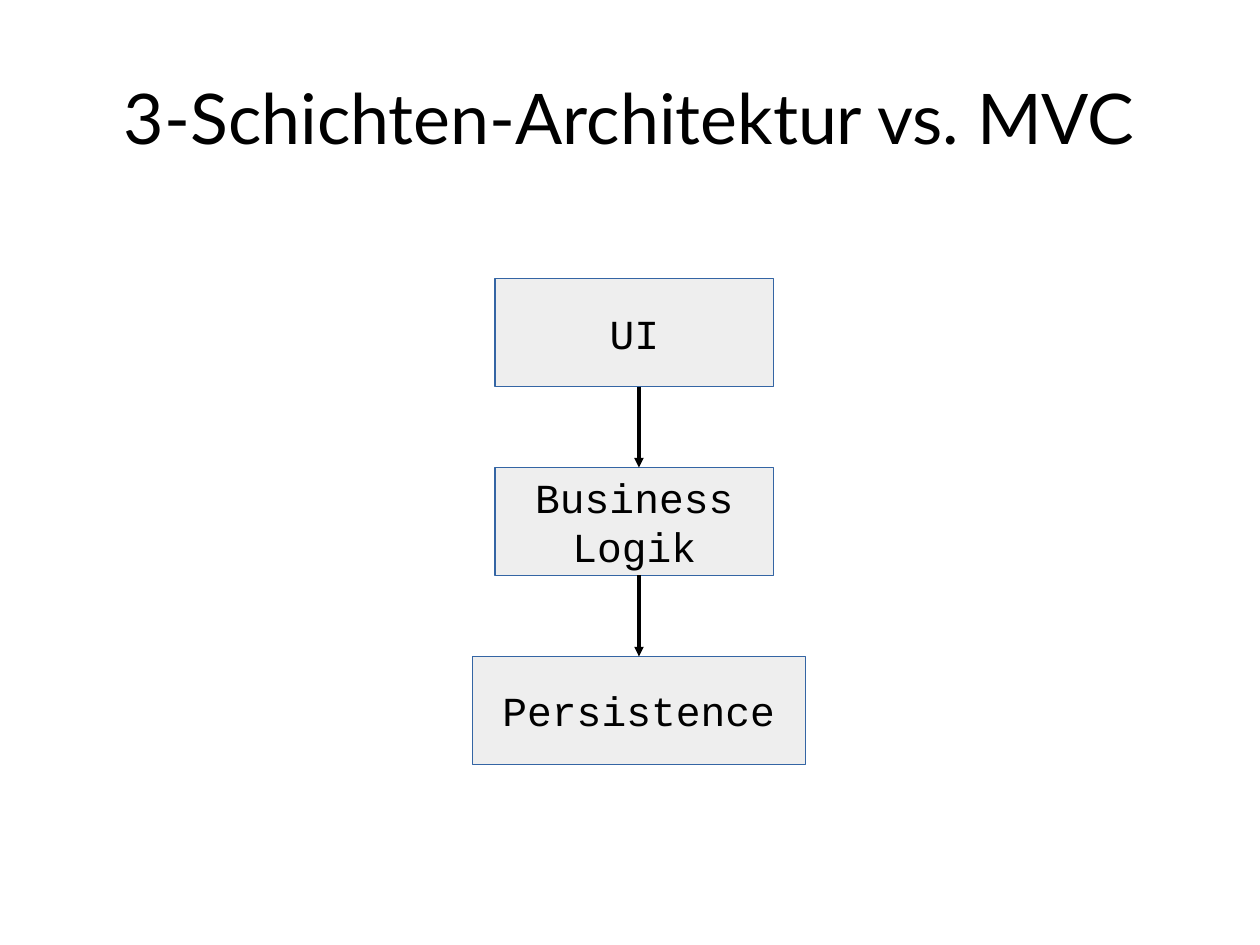
from lxml import etree
from pptx import Presentation
from pptx.dml.color import RGBColor
from pptx.enum.shapes import MSO_CONNECTOR, MSO_SHAPE
from pptx.enum.text import MSO_ANCHOR, PP_ALIGN
from pptx.oxml.ns import qn
from pptx.util import Pt

RECTANGLE = MSO_SHAPE.RECTANGLE
STRAIGHT = MSO_CONNECTOR.STRAIGHT
MIDDLE = MSO_ANCHOR.MIDDLE
CENTER = PP_ALIGN.CENTER

# Content
TITLE = "3-Schichten-Architektur vs. MVC"
LAYERS = [  # text, left, width
    ("UI", 311.8, 175.7),
    ("Business\nLogik", 311.8, 175.7),
    ("Persistence", 297.5, 210),
]
COLORS = {"text": "000000", "box": "EEEEEE", "border": "3465A4", "arrow": "000000"}

# Layout
SLIDE_WIDTH, SLIDE_HEIGHT = 793.7, 595.28
FIRST_TOP, LAYER_HEIGHT, LAYER_STEP = 175.5, 68, 119
ARROW_X = 402.5
TOP_SIDE = 0


def color(key):
    return RGBColor.from_string(COLORS[key])


def write(shape, text, *, font, size, margins, wrap):
    frame = shape.text_frame
    frame.word_wrap = wrap
    frame.vertical_anchor = MIDDLE
    frame.margin_left = frame.margin_right = Pt(margins[0])
    frame.margin_top = frame.margin_bottom = Pt(margins[1])
    frame.text = text
    for paragraph in frame.paragraphs:
        paragraph.alignment = CENTER
        paragraph.font.name = font
        paragraph.font.size = Pt(size)
        paragraph.font.color.rgb = color("text")


def add_layer(slide, text, left, top, width):
    layer = slide.shapes.add_shape(
        RECTANGLE, Pt(left), Pt(top), Pt(width), Pt(LAYER_HEIGHT))
    layer.shadow.inherit = False
    layer.fill.solid()
    layer.fill.fore_color.rgb = color("box")
    layer.line.color.rgb = color("border")
    layer.line.width = Pt(0)
    write(layer, text, font="Courier New", size=26, margins=(7.2, 3.6), wrap=False)
    return layer


def add_arrow(slide, top, bottom):
    arrow = slide.shapes.add_connector(
        STRAIGHT, Pt(ARROW_X), Pt(top), Pt(ARROW_X), Pt(bottom))
    arrow.line.color.rgb = color("arrow")
    arrow.line.width = Pt(0)
    properties = arrow.line._get_or_add_ln()
    etree.SubElement(properties, qn("a:tailEnd"), type="triangle")
    etree.SubElement(properties.getparent(), qn("a:effectLst"))
    return arrow


def main():
    deck = Presentation()
    deck.slide_width, deck.slide_height = Pt(SLIDE_WIDTH), Pt(SLIDE_HEIGHT)
    slide = deck.slides.add_slide(deck.slide_layouts[6])

    # Title
    title = slide.shapes.add_textbox(Pt(39.6), Pt(23.8), Pt(714.2), Pt(99.4))
    write(title, TITLE, font="Lato", size=44, margins=(0, 0), wrap=True)

    # Layers from top to bottom
    tops = [FIRST_TOP + i * LAYER_STEP for i in range(len(LAYERS))]
    layers = [add_layer(slide, text, left, top, width)
              for (text, left, width), top in zip(LAYERS, tops)]

    # Arrows share the centre line of the lowest layer
    arrows = [add_arrow(slide, upper + LAYER_HEIGHT, lower)
              for upper, lower in zip(tops, tops[1:])]
    arrows[-1].end_connect(layers[-1], TOP_SIDE)

    deck.save("out.pptx")


if __name__ == "__main__":
    main()
